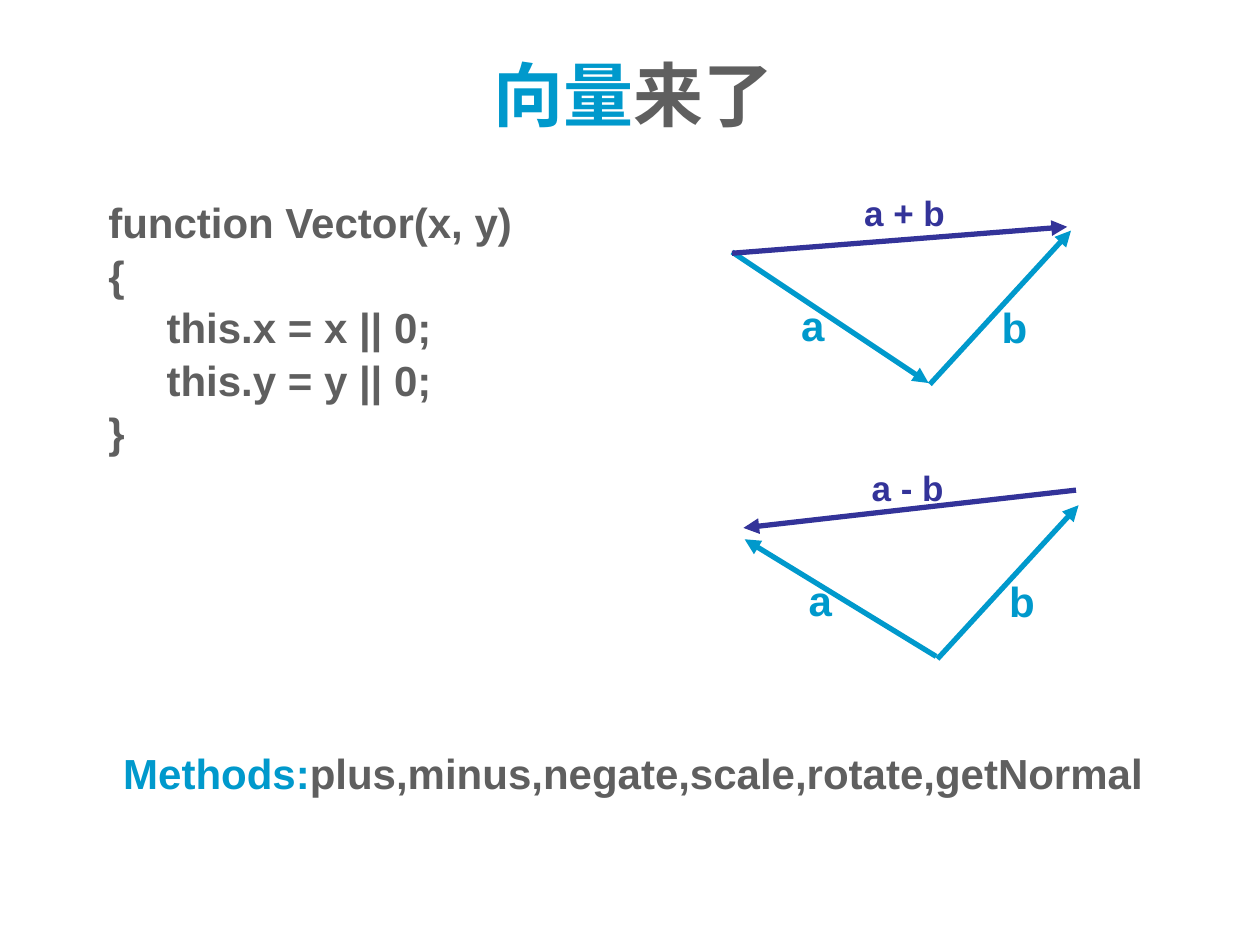
from dataclasses import dataclass

from lxml import etree
from pptx import Presentation
from pptx.dml.color import RGBColor
from pptx.enum.shapes import MSO_CONNECTOR
from pptx.enum.text import MSO_ANCHOR, MSO_AUTO_SIZE, PP_ALIGN
from pptx.oxml.ns import qn
from pptx.util import Inches, Pt

LINE = MSO_CONNECTOR.STRAIGHT
TOP = MSO_ANCHOR.TOP
FIXED = MSO_AUTO_SIZE.NONE
LEFT = PP_ALIGN.LEFT


@dataclass(frozen=True)
class Theme:
    font: str = "Arial"
    blue: str = "0099CC"
    navy: str = "333399"
    gray: str = "5F5F5F"
    title: int = 40
    body: int = 24
    sum: int = 20
    line: int = 3
    gap: float = 1.2


@dataclass(frozen=True)
class Arrow:
    start: tuple[float, float]
    end: tuple[float, float]
    color: str


@dataclass(frozen=True)
class Label:
    text: str
    box: tuple[float, float, float, float]
    size: int
    color: str


THEME = Theme()

CODE = """function Vector(x, y)
{
     this.x = x || 0;
     this.y = y || 0;
}"""

ARROWS = [
    # Sum triangle
    Arrow((5.81, 2), (7.37, 3.04), THEME.blue),
    Arrow((7.38, 3.05), (8.5, 1.83), THEME.blue),
    Arrow((5.81, 2.01), (8.47, 1.8), THEME.navy),
    # Difference triangle
    Arrow((7.44, 5.23), (8.56, 4.01), THEME.blue),
    Arrow((7.43, 5.21), (5.91, 4.28), THEME.blue),
    Arrow((8.54, 3.89), (5.9, 4.19), THEME.navy),
]


def group(left: float, top: float, total: str) -> list[Label]:
    """Labels of one triangle, placed from the corner of its total."""
    return [
        Label("a", (left - 0.5, top + 0.86, 0.6, 0.5), THEME.body, THEME.blue),
        Label("b", (left + 1.09, top + 0.87, 0.91, 0.5), THEME.body, THEME.blue),
        Label(total, (left, top, 1.27, 0.44), THEME.sum, THEME.navy),
    ]


def place(shape, box: tuple[float, float, float, float]) -> None:
    shape.left, shape.top, shape.width, shape.height = map(Inches, box)
    frame = shape.text_frame
    frame.word_wrap = True
    frame.auto_size = FIXED
    frame.vertical_anchor = TOP


def style(run, size: int, color: str) -> None:
    font = run.font
    font.name, font.size, font.bold = THEME.font, Pt(size), True
    font.color.rgb = RGBColor.from_string(color)


def write(para, parts: list[tuple[str, str]], size: int) -> None:
    para.alignment = LEFT
    for text, color in parts:
        run = para.add_run()
        run.text = text
        style(run, size, color)


def draw_label(slide, item: Label) -> None:
    shape = slide.shapes.add_textbox(0, 0, 0, 0)
    place(shape, item.box)
    para = shape.text_frame.paragraphs[0]
    para.text = item.text
    style(para.runs[0], item.size, item.color)


def draw_arrow(slide, item: Arrow) -> None:
    ends = map(Inches, item.start + item.end)
    line = slide.shapes.add_connector(LINE, *ends)
    line.line.width = Pt(THEME.line)
    line.line.color.rgb = RGBColor.from_string(item.color)
    etree.SubElement(line.line._get_or_add_ln(), qn("a:tailEnd"), type="triangle")
    etree.SubElement(line._element.spPr, qn("a:effectLst"))


def draw_code(shape) -> None:
    place(shape, (0.76, 1.51, 4.57, 2.1))
    frame = shape.text_frame
    frame.text = CODE
    for row, para in enumerate(frame.paragraphs):
        props = para._p.get_or_add_pPr()
        props.set("marL", "0")
        props.set("indent", "0")
        etree.SubElement(props, qn("a:buNone"))
        para.space_before = Pt(THEME.gap if row else 0)
        style(para.runs[0], THEME.body, THEME.gray)


def main() -> None:
    deck = Presentation()
    deck.slide_width, deck.slide_height = Inches(10), Inches(7.5)
    slide = deck.slides.add_slide(deck.slide_layouts[1])

    # Title and code
    title = slide.shapes.title
    place(title, (3.82, 0.36, 3.81, 0.77))
    write(title.text_frame.paragraphs[0],
          [("向量", THEME.blue), ("来了", THEME.gray)], THEME.title)
    draw_code(slide.placeholders[1])

    # Vector triangles
    for arrow in ARROWS:
        draw_arrow(slide, arrow)
    for label in group(6.76, 1.47, "a + b") + group(6.82, 3.65, "a - b"):
        draw_label(slide, label)

    # Method list
    foot = slide.shapes.add_textbox(0, 0, 0, 0)
    place(foot, (0.88, 5.88, 8.83, 0.5))
    write(foot.text_frame.paragraphs[0],
          [("Methods:", THEME.blue),
           ("plus,minus,negate,scale,rotate,getNormal", THEME.gray)], THEME.body)

    deck.save("out.pptx")


if __name__ == "__main__":
    main()
